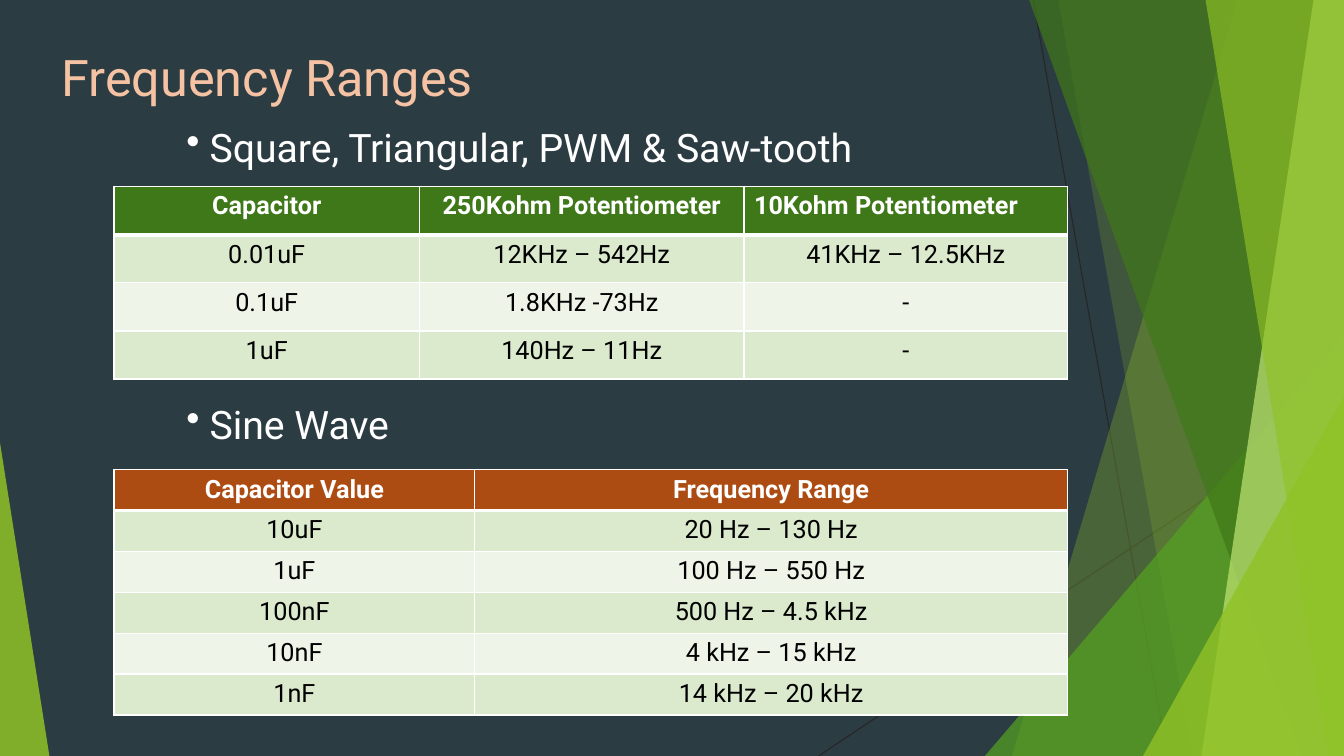
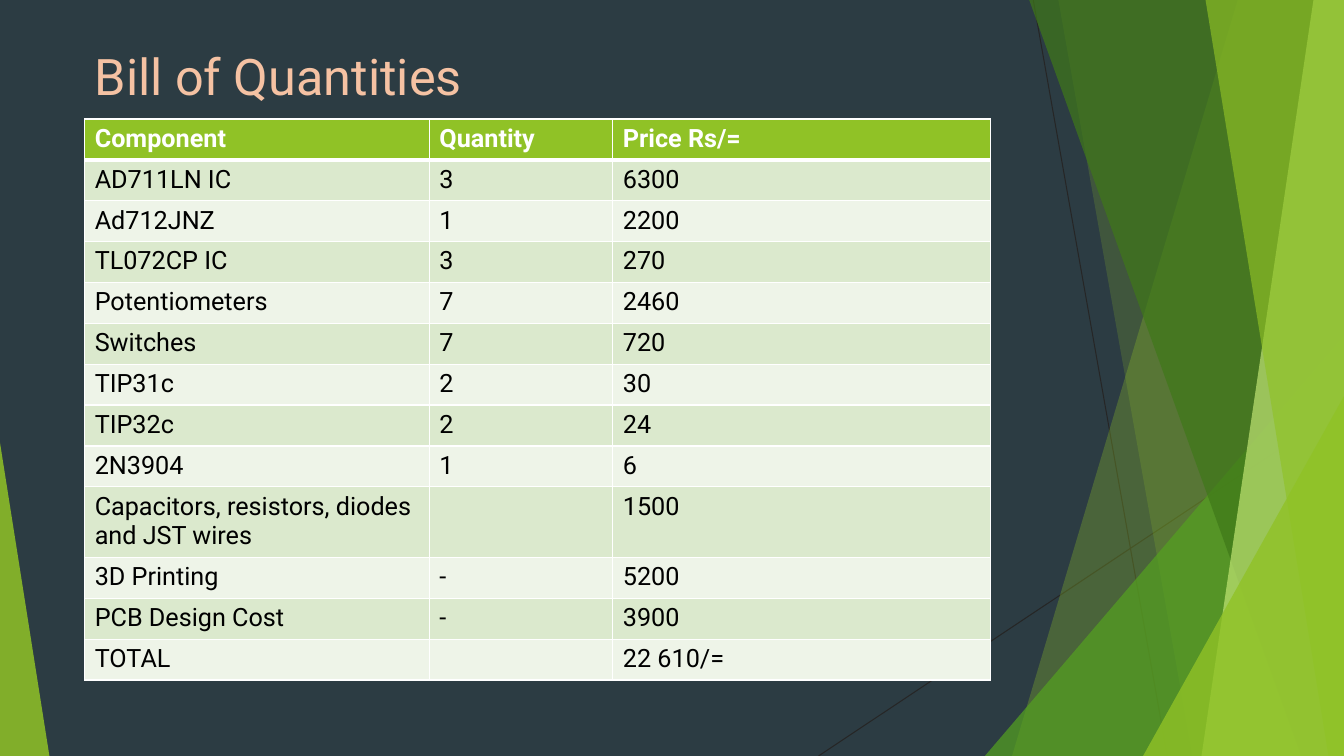
from lxml import etree
from pptx import Presentation
from pptx.dml.color import RGBColor
from pptx.enum.shapes import MSO_CONNECTOR, MSO_SHAPE
from pptx.enum.text import MSO_AUTO_SIZE, PP_ALIGN
from pptx.oxml import parse_xml
from pptx.oxml.ns import nsdecls, qn
from pptx.util import Inches, Pt

STRAIGHT = MSO_CONNECTOR.STRAIGHT
TRIANGLE = MSO_SHAPE.ISOSCELES_TRIANGLE
GROW = MSO_AUTO_SIZE.SHAPE_TO_FIT_TEXT
LEFT, CENTER = PP_ALIGN.LEFT, PP_ALIGN.CENTER

FONT = "Roboto"
BACKGROUND, TITLE, WHITE, BLACK = "2C3C43", "F5C2A3", "FFFFFF", "000000"
LIME, GREEN, FOREST, PALE_LIME = "90C226", "54A021", "3F7819", "C0E474"
RUST, DARK_LINE = "AD4C12", "262626"
ROW_BANDS = ("DBE9CD", "EEF4E8")

presentation = Presentation()
presentation.slide_width = Inches(13.333)
presentation.slide_height = Inches(7.5)


def grid(*shares):
    """Turn alternating x and y percentages of the slide into lengths."""
    sizes = (presentation.slide_width, presentation.slide_height)
    return [round(share * sizes[i % 2] / 100) for i, share in enumerate(shares)]


def paint(fill, color):
    fill.solid()
    fill.fore_color.rgb = RGBColor.from_string(color)


blank_layout = presentation.slide_layouts[6]
slides = [presentation.slides.add_slide(blank_layout) for _ in range(2)]
master = presentation.slide_master
paint(master.background.fill, BACKGROUND)

# Shared decoration: drawn once, then moved to the slide master.
decoration = []
shapes = slides[0].shapes
for ends in ((76.88, 0, 86.85, 100), (100, 53.73, 60.9, 100)):
    connector = shapes.add_connector(STRAIGHT, *grid(*ends))
    paint(connector.line.fill, DARK_LINE)
    connector.line.width = Pt(0.75)
    etree.SubElement(connector.element.spPr, qn("a:effectLst"))
    decoration.append(connector)

# Bands reach the right edge: (x at top, x at bottom).
# Triangles stand on the bottom edge: (left, top, width, apex).
for outline, color, opacity in (
    ((92.1, 75.3), LIME, 30),
    ((78.75, 88.73), LIME, 20),
    ((73.28, 44.4, 26.72, 1), GREEN, 72),
    ((76.58, 96.83), FOREST, 70),
    ((97.73, 89.4), PALE_LIME, 70),
    ((89.7, 98.85), LIME, 65),
    ((85.05, 52.4, 14.95, 1), LIME, 80),
    ((0, 58.53, 3.68, 0), LIME, 85),
):
    if len(outline) == 2:
        top_x, bottom_x = outline
        builder = shapes.build_freeform(*grid(top_x, 0))
        corners = ((100, 0), (100, 100), (bottom_x, 100))
        builder.add_line_segments([grid(*corner) for corner in corners])
        shape = builder.convert_to_shape()
    else:
        left, top, width, apex = outline
        shape = shapes.add_shape(TRIANGLE, *grid(left, top, width, 100 - top))
        shape.adjustments[0] = apex
    shape.shadow.inherit = False
    shape.line.fill.background()
    paint(shape.fill, color)
    solid_color = shape.element.xpath("./p:spPr/a:solidFill/a:srgbClr")[0]
    etree.SubElement(solid_color, qn("a:alpha")).set("val", str(opacity * 1000))
    decoration.append(shape)

for number, shape in enumerate(decoration, start=100):
    shape.element.xpath(".//p:cNvPr")[0].set("id", str(number))
    master.shapes.element.append(shape.element)

# Paragraphs wait here for their size, colour and weight.
styled_paragraphs = []

# Text boxes: slide, text, left, top, width, bulleted
for slide, text, left, top, width, bulleted in (
    (slides[0], "Frequency Ranges", 3.83, 5.47, 46.2, False),
    (slides[0], "Square, Triangular, PWM & Saw-tooth", 13.13, 15.6, 57.4, True),
    (slides[0], "Sine Wave", 13.13, 52.27, 21, True),
    (slides[1], "Bill of Quantities", 6.3, 5.33, 36.6, False),
):
    height = 7.6 if bulleted else 9.47
    text_box = slide.shapes.add_textbox(*grid(left, top, width, height))
    text_frame = text_box.text_frame
    text_frame.word_wrap = True
    text_frame.auto_size = GROW
    text_frame.text = text
    paragraph = text_frame.paragraphs[0]
    if bulleted:
        properties = paragraph._p.get_or_add_pPr()
        properties.set("marL", str(Inches(0.23)))
        properties.set("indent", str(Inches(-0.23)))
        etree.SubElement(properties, qn("a:buChar")).set("char", "•")
        styled_paragraphs.append((paragraph, 28, WHITE, False))
    else:
        styled_paragraphs.append((paragraph, 36, TITLE, False))

square_wave_rows = (
    ("Capacitor", "250Kohm Potentiometer", "10Kohm Potentiometer"),
    ("0.01uF", "12KHz – 542Hz", "41KHz – 12.5KHz"),
    ("0.1uF", "1.8KHz -73Hz", "-"),
    ("1uF", "140Hz – 11Hz", "-"),
)
sine_wave_rows = (
    ("Capacitor Value", "Frequency Range"),
    ("10uF", "20 Hz – 130 Hz"),
    ("1uF", "100 Hz – 550 Hz"),
    ("100nF", "500 Hz – 4.5 kHz"),
    ("10nF", "4 kHz – 15 kHz"),
    ("1nF", "14 kHz – 20 kHz"),
)
bill_rows = (
    ("Component", "Quantity", "Price Rs/="),
    ("AD711LN IC", "3", "6300"),
    ("Ad712JNZ", "1", "2200"),
    ("TL072CP IC", "3", "270"),
    ("Potentiometers", "7", "2460"),
    ("Switches", "7", "720"),
    ("TIP31c", "2", "30"),
    ("TIP32c", "2", "24"),
    ("2N3904", "1", "6"),
    ("Capacitors, resistors, diodes and JST wires", "", "1500"),
    ("3D Printing", "-", "5200"),
    ("PCB Design Cost", "-", "3900"),
    ("TOTAL", "", "22 610/="),
)

tables = []
for slide, rows, left, top, widths, row_height, header_color, alignment in (
    (slides[0], square_wave_rows, 8.48, 24.67, (22.73, 24.15, 24.08), 6.37, FOREST, CENTER),
    (slides[0], sine_wave_rows, 8.48, 62.13, (26.85, 44.1), 5.41, RUST, CENTER),
    (slides[1], bill_rows, 6.3, 15.73, (25.65, 13.65, 28.13), 5.41, LIME, LEFT),
):
    frame = grid(left, top, sum(widths), row_height * len(rows))
    table = slide.shapes.add_table(len(rows), len(widths), *frame).table
    table.horz_banding = False
    tables.append(table)
    for column, width in zip(table.columns, widths):
        column.width = grid(width)[0]
    for row_index, values in enumerate(rows):
        is_header = row_index == 0
        table.rows[row_index].height = grid(0, row_height)[1]
        for column_index, value in enumerate(values):
            cell = table.cell(row_index, column_index)
            cell_properties = cell._tc.get_or_add_tcPr()
            for side in "LRTB":
                thick = (row_index, side) in ((0, "B"), (1, "T"))
                cell_properties.append(parse_xml(
                    f'<a:ln{side} {nsdecls("a")} w="{Pt(3 if thick else 1)}">'
                    f'<a:solidFill><a:srgbClr val="{WHITE}"/></a:solidFill></a:ln{side}>'
                ))
            paint(cell.fill, header_color if is_header else ROW_BANDS[(row_index - 1) % 2])
            cell.text_frame.text = value
            paragraph = cell.text_frame.paragraphs[0]
            paragraph.alignment = alignment
            text_color = WHITE if is_header else BLACK
            styled_paragraphs.append((paragraph, 18, text_color, is_header))

square_wave_table, _, bill_table = tables
square_wave_table.cell(0, 2).text_frame.paragraphs[0].alignment = LEFT
bill_table.rows[9].height = grid(0, 9.33)[1]

for paragraph, size, color, bold in styled_paragraphs:
    for run in paragraph.runs:
        run.font.name = FONT
        run.font.size = Pt(size)
        run.font.bold = bold
        paint(run.font.fill, color)

presentation.save("out.pptx")
